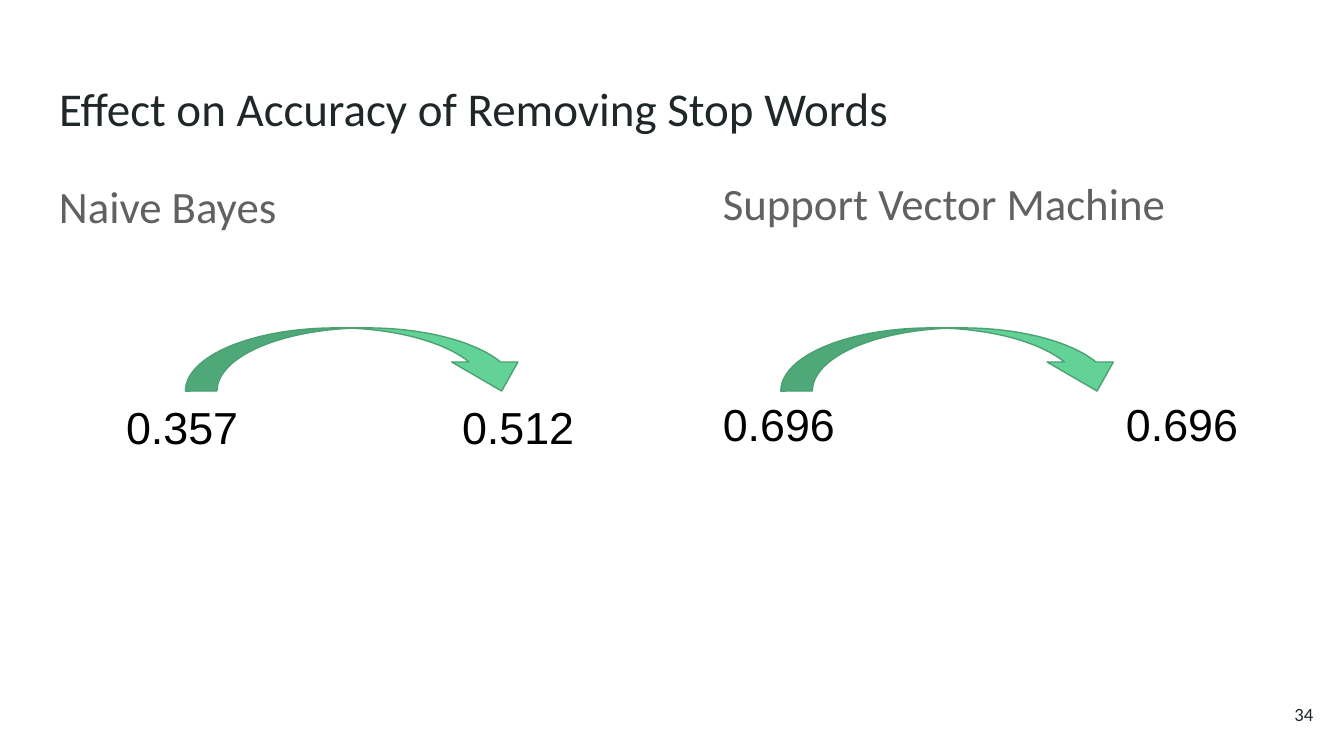
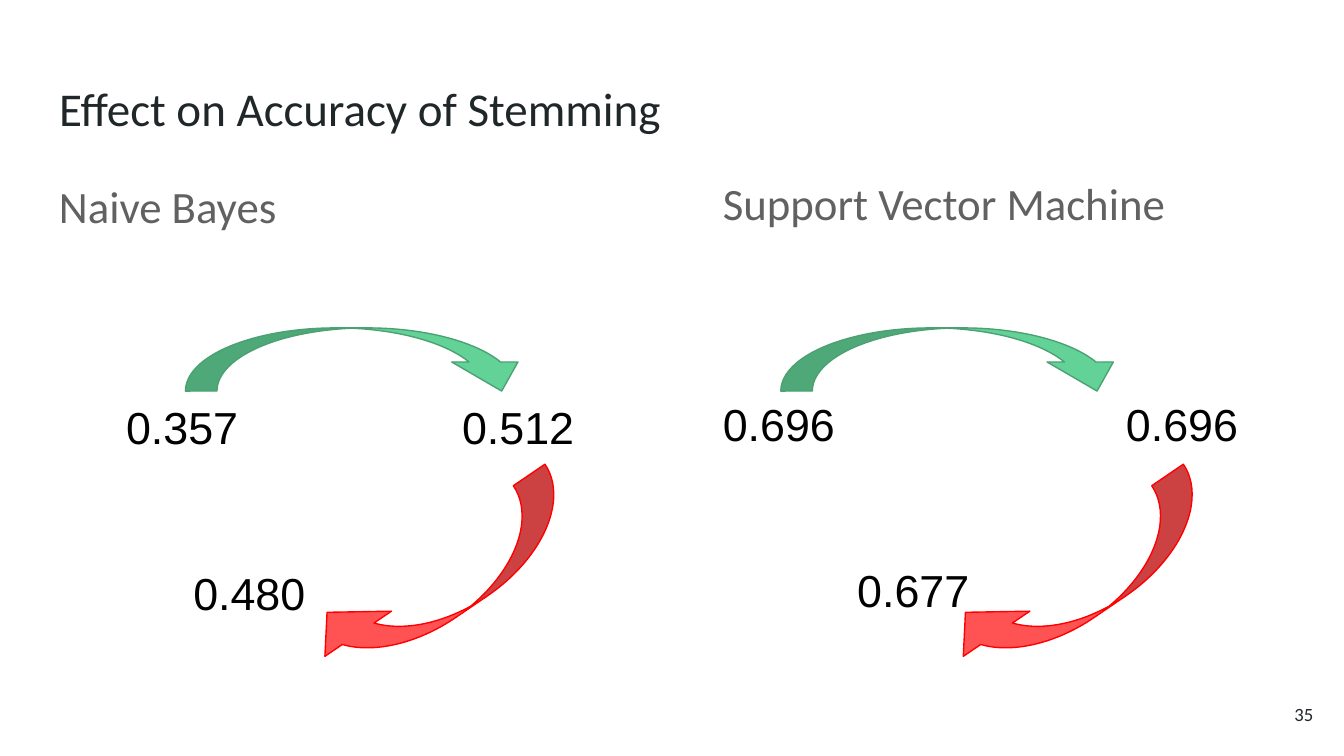
from pptx import Presentation
from pptx.dml.color import RGBColor
from pptx.enum.shapes import MSO_SHAPE
from pptx.enum.text import MSO_ANCHOR, MSO_AUTO_SIZE, PP_ALIGN
from pptx.util import Inches, Pt

CURVED_ARROW = MSO_SHAPE.CURVED_DOWN_ARROW
TOP, MIDDLE = MSO_ANCHOR.TOP, MSO_ANCHOR.MIDDLE
LEFT, RIGHT = PP_ALIGN.LEFT, PP_ALIGN.RIGHT
NO_AUTOFIT = MSO_AUTO_SIZE.NONE
TITLE_ONLY = 5

COLORS = {
    "title": "202729", "heading": "616161", "value": "000000",
    "gain": "63D297", "gain_line": "4BA173",
    "loss": "FF5252", "loss_line": "FF0000",
}
TITLE_FONT, VALUE_FONT = "Calibri", "Arial"


class AccuracyDeck:
    """Holds the shared style and the current page."""

    def __init__(self):
        self.deck = Presentation()
        self.deck.slide_width = Inches(10)
        self.deck.slide_height = Inches(10 * 9 / 16)
        self.page = None

    def add_page(self, title, number):
        self.page = self.deck.slides.add_slide(self.deck.slide_layouts[TITLE_ONLY])
        # Title
        box = self.page.shapes.title
        box.left, box.top = Inches(0.34), Inches(0.49)
        box.width, box.height = Inches(9.32), Inches(0.63)
        frame = self.prepare(box, TOP)
        frame.text = title
        self.style(frame.paragraphs[0], 25.2, TITLE_FONT, "title")
        # Page number
        frame = self.text_box(9.27, 5.1, 0.6, 0.43, MIDDLE)
        frame.text = str(number)
        self.style(frame.paragraphs[0], 10, TITLE_FONT, "title", RIGHT)

    def prepare(self, box, anchor):
        frame = box.text_frame
        frame.word_wrap = True
        frame.auto_size = NO_AUTOFIT
        frame.vertical_anchor = anchor
        frame.margin_left = frame.margin_right = Inches(0.1)
        frame.margin_top = frame.margin_bottom = Inches(0.1)
        return frame

    def text_box(self, left, top, width, height, anchor=TOP):
        box = self.page.shapes.add_textbox(
            Inches(left), Inches(top), Inches(width), Inches(height))
        return self.prepare(box, anchor)

    def style(self, para, size, font, color, align=LEFT):
        para.alignment = align
        for span in para.runs:
            span.font.size = Pt(size)
            span.font.name = font
            span.font.color.rgb = RGBColor.from_string(COLORS[color])

    def value_line(self, frame, text, margin, first_line, spacing, before):
        para = frame.add_paragraph()
        para.text = text
        para.line_spacing = spacing
        para.space_before = Pt(before)
        self.style(para, 24, VALUE_FONT, "value")
        # Indents, and tab stops one inch apart
        properties = para._p.get_or_add_pPr()
        properties.set("marL", str(Inches(margin)))
        properties.set("indent", str(Inches(first_line)))
        properties.set("defTabSz", str(Inches(1)))

    def model_column(self, left, top, model, values, first_line, final):
        frame = self.text_box(left, top, 4.37, 3.74)
        frame.text = model
        heading = frame.paragraphs[0]
        heading.line_spacing = 0.95
        self.style(heading, 24, TITLE_FONT, "heading")
        self.value_line(frame, values, 0, first_line, 0.95, 91)
        if final:
            self.value_line(frame, final, 0.5, 0.5, 1.15, 55)

    def arrow(self, left, top, width, height, kind, rotation=0):
        shape = self.page.shapes.add_shape(
            CURVED_ARROW, Inches(left), Inches(top), Inches(width), Inches(height))
        for index, value in enumerate((0.5, 1.05, 0.46)):
            shape.adjustments[index] = value
        shape.rotation = rotation
        shape.shadow.inherit = False
        shape.fill.solid()
        shape.fill.fore_color.rgb = RGBColor.from_string(COLORS[kind])
        shape.line.color.rgb = RGBColor.from_string(COLORS[kind + "_line"])
        shape.line.width = Pt(0.75)

    def comparison(self, title, number, finals=(None, None)):
        self.add_page(title, number)
        # Accuracy per model
        self.model_column(0.34, 1.26, "Naive Bayes", "0.357\t\t0.512", 0.5, finals[0])
        self.model_column(5.28, 1.24, "Support Vector Machine", "0.696 \t\t\t0.696", 0, finals[1])
        # Step from first to second value
        for left in (5.81, 1.38):
            self.arrow(left, 2.44, 2.6, 0.47, "gain")
        # Step down to the final value
        for left, final in zip((2.15, 6.9), finals):
            if final:
                self.arrow(left, 4.04, 2.26, 0.57, "loss", 145.8)


def main():
    show = AccuracyDeck()
    show.comparison("Effect on Accuracy of Removing Stop Words", 34)
    show.comparison("Effect on Accuracy of Stemming", 35, ("0.480", "0.677"))
    show.deck.save("out.pptx")


if __name__ == "__main__":
    main()
